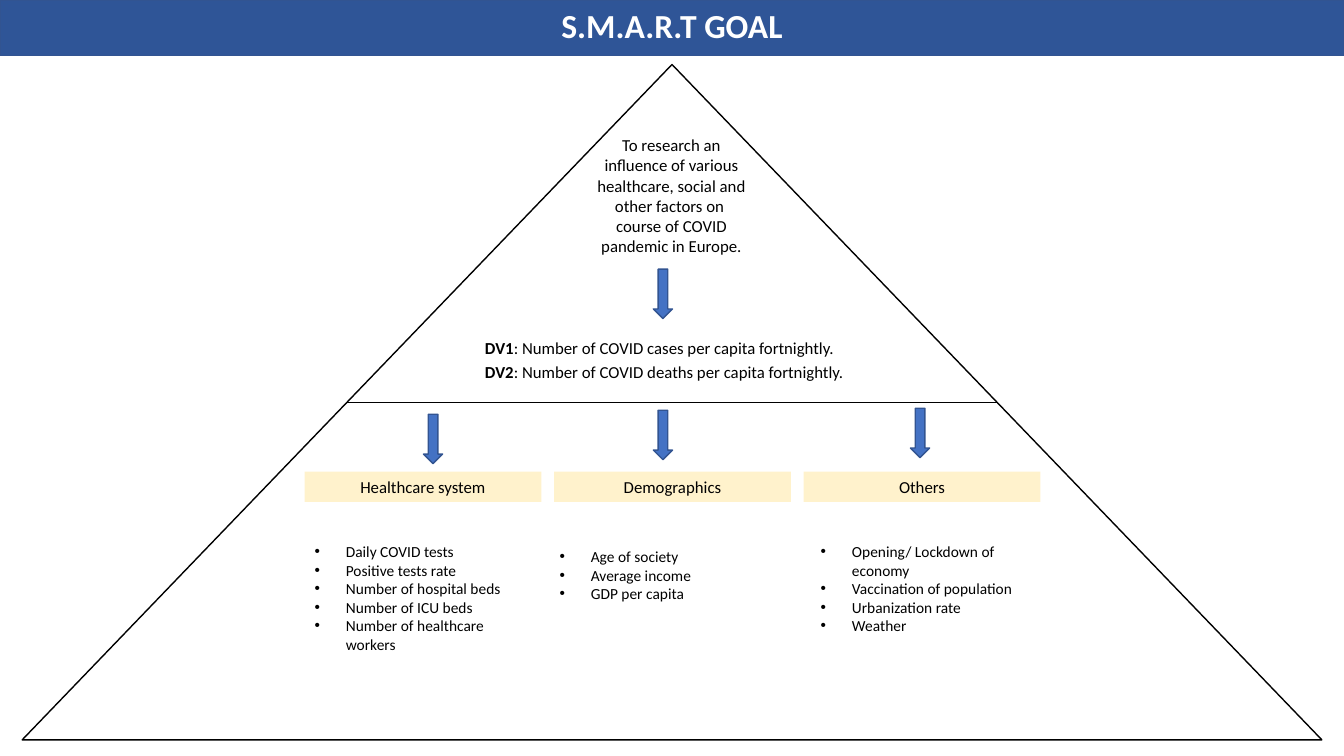
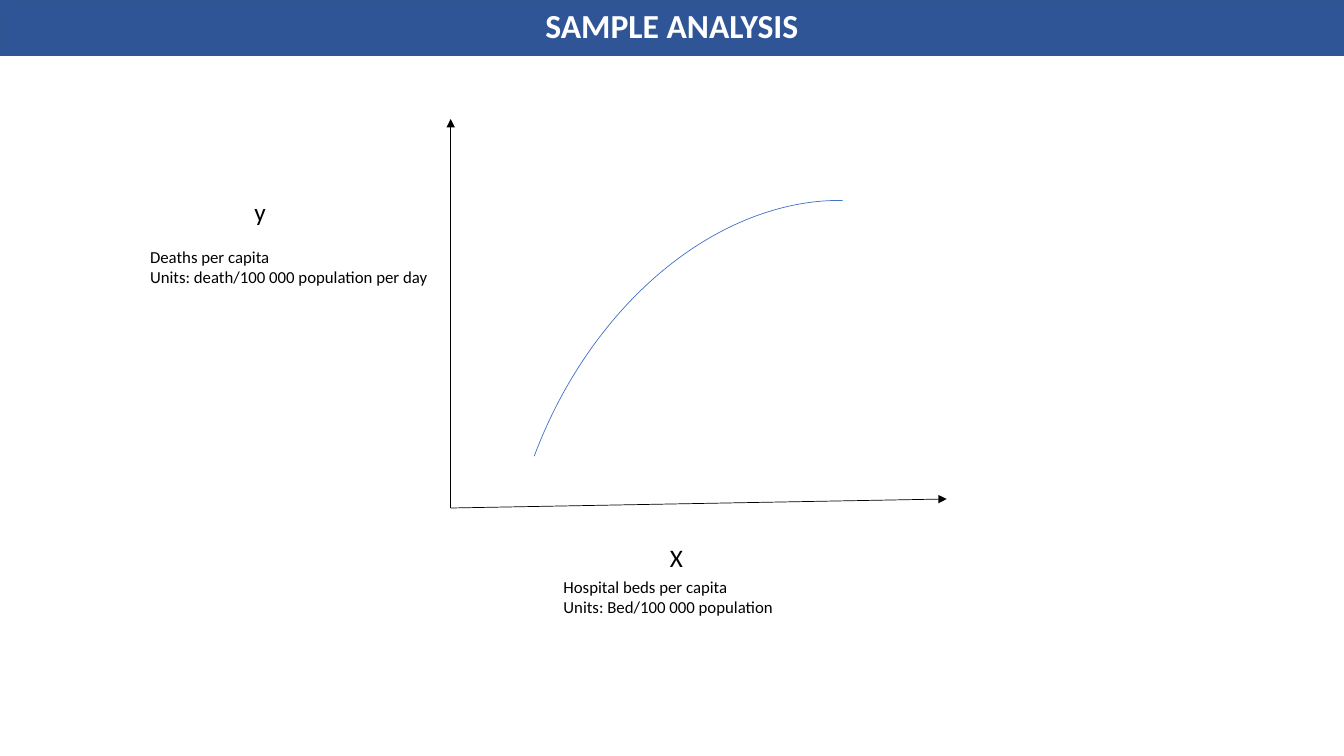
from lxml import etree
from pptx import Presentation
from pptx import util as u
from pptx.dml.color import RGBColor
from pptx.enum import shapes, text
from pptx.oxml.ns import qn

WIDTH, HEIGHT = 13.33, 7.5
FONT = "Calibri"
BAND, EDGE, ACCENT = "2F5597", "325491", "4472C4"
CREAM, BLACK, WHITE = "FFF2CC", "000000", "FFFFFF"
CENTER, LEFT = text.PP_ALIGN.CENTER, text.PP_ALIGN.LEFT
SHAPE = shapes.MSO_SHAPE

GOAL = ("To research an influence of various healthcare, social and "
        "other factors on  course of COVID pandemic in Europe.")
VARIABLES = [
    ("DV1", ": Number of COVID cases per capita fortnightly. "),
    ("DV2", ": Number of COVID deaths per capita fortnightly. "),
]
FACTORS = [
    ("Healthcare system", (3.02, 5.33, 2.28, 1.4), (4.2, 4.11),
     ["Daily COVID tests", "Positive tests rate", "Number of hospital beds",
      "Number of ICU beds", "Number of healthcare workers"]),
    ("Demographics", (5.45, 5.38, 2.28, 0.66), (6.48, 4.07),
     ["Age of society", "Average income", "GDP per capita"]),
    ("Others", (8.04, 5.33, 2.28, 1.21), (9.03, 4.05),
     ["Opening/ Lockdown of economy", "Vaccination of population",
      "Urbanization rate", "Weather"]),
]
GOAL_ARROW = (6.48, 2.67)
ARROW_SIZE = (0.19, 0.49)
HEADING_LEFT, HEADING_TOP, HEADING_PITCH = 3.02, 4.68, 2.475
HEADING_SIZE = (2.35, 0.3)

ORIGIN = (4.47, 5.04)
AXIS_ENDS = [(4.47, 1.18), (9.39, 4.95)]
AXIS_LABELS = [
    (["Deaths per capita", "Units: death/100 000 population per day"],
     (1.39, 2.4, 3.64, 0.5), 12, LEFT),
    (["X"], (5.59, 5.33, 2.24, 0.4), 18, CENTER),
    (["y"], (1.92, 1.9, 1.32, 0.4), 18, CENTER),
    (["Hospital beds per capita ", "Units: Bed/100 000 population"],
     (5.49, 5.67, 3.64, 0.5), 12, LEFT),
]


def rgb(value):
    return RGBColor.from_string(value)


def inches(values):
    return [u.Inches(value) for value in values]


def place(shape, box):
    shape.left, shape.top, shape.width, shape.height = inches(box)


def style(frame, size, color=BLACK, bold=False, align=LEFT,
          anchor=text.MSO_ANCHOR.TOP):
    frame.word_wrap = True
    frame.auto_size = text.MSO_AUTO_SIZE.NONE
    frame.vertical_anchor = anchor
    for paragraph in frame.paragraphs:
        paragraph.alignment = align
        paragraph.space_before = u.Pt(0)
        for run in paragraph.runs:
            run.font.name, run.font.size = FONT, u.Pt(size)
            run.font.bold = bold
            run.font.color.rgb = rgb(color)


def set_bullet(paragraph, character=None, indent=0):
    properties = paragraph._p.get_or_add_pPr()
    properties.set("marL", str(u.Inches(indent)))
    properties.set("indent", str(-u.Inches(indent)))
    if character:
        etree.SubElement(properties, qn("a:buFont"), typeface="Arial")
        etree.SubElement(properties, qn("a:buChar"), char=character)
    else:
        etree.SubElement(properties, qn("a:buNone"))


def add_shape(slide, kind, box, fill=None, line=None, weight=1):
    shape = slide.shapes.add_shape(kind, *inches(box))
    shape.shadow.inherit = False
    if fill:
        shape.fill.solid()
        shape.fill.fore_color.rgb = rgb(fill)
    else:
        shape.fill.background()
    if line:
        shape.line.color.rgb = rgb(line)
        shape.line.width = u.Pt(weight)
    else:
        shape.line.fill.background()
    return shape


def add_text(slide, lines, box, size, align):
    frame = slide.shapes.add_textbox(*inches(box)).text_frame
    frame.text = "\n".join(lines)
    style(frame, size, align=align)


def add_line(slide, start, end, arrow=False):
    line = slide.shapes.add_connector(
        shapes.MSO_CONNECTOR.STRAIGHT, *inches(start + end))
    line.line.color.rgb = rgb(BLACK)
    line.line.width = u.Pt(0.5)
    if arrow:
        etree.SubElement(line.line._get_or_add_ln(), qn("a:tailEnd"),
                         type="triangle")
    etree.SubElement(line._element.spPr, qn("a:effectLst"))


def add_arrow(slide, corner):
    add_shape(slide, SHAPE.DOWN_ARROW, corner + ARROW_SIZE, ACCENT, EDGE)


def add_slide(presentation, layout, title):
    slide = presentation.slides.add_slide(presentation.slide_layouts[layout])
    add_shape(slide, SHAPE.RECTANGLE, (0, 0, WIDTH, 0.55), BAND, EDGE)
    heading = slide.shapes.title
    slide.shapes._spTree.append(heading._element)
    place(heading, (0, 0, WIDTH, 0.5))
    heading.text_frame.text = title
    style(heading.text_frame, 24, WHITE, True, CENTER)
    return slide


def build_goal(presentation):
    slide = add_slide(presentation, 4, "S.M.A.R.T GOAL")
    variables, *lists = [holder for holder in slide.placeholders
                         if holder.placeholder_format.idx]
    add_text(slide, [GOAL], (5.76, 1.29, 1.8, 1.31), 12, CENTER)
    add_shape(slide, SHAPE.ISOSCELES_TRIANGLE, (0.22, 0.64, 12.89, 6.7),
              line=BLACK)
    add_line(slide, (3.44, 3.99), (9.89, 3.99))
    add_arrow(slide, GOAL_ARROW)

    place(variables, (4.71, 3.3, 4.18, 0.54))
    frame = variables.text_frame
    frame.text = "\n".join(name for name, meaning in VARIABLES)
    for paragraph, (name, meaning) in zip(frame.paragraphs, VARIABLES):
        paragraph.add_run().text = meaning
    style(frame, 12)
    for paragraph in frame.paragraphs:
        paragraph.runs[0].font.bold = True
        paragraph.space_after = u.Pt(2.6)
        set_bullet(paragraph)

    for column, (name, box, arrow, items) in enumerate(FACTORS):
        corner = (HEADING_LEFT + column * HEADING_PITCH, HEADING_TOP)
        heading = add_shape(slide, SHAPE.RECTANGLE, corner + HEADING_SIZE,
                            CREAM)
        heading.text_frame.text = name
        style(heading.text_frame, 12, align=CENTER,
              anchor=text.MSO_ANCHOR.MIDDLE)
        add_arrow(slide, arrow)
        place(lists[column], box)
        frame = lists[column].text_frame
        frame.text = "\n".join(items)
        style(frame, 11)
        for paragraph in frame.paragraphs:
            set_bullet(paragraph, "•", 0.31)


def build_analysis(presentation):
    slide = add_slide(presentation, 5, "SAMPLE ANALYSIS")
    for end in AXIS_ENDS:
        add_line(slide, ORIGIN, end, arrow=True)
    curve = add_shape(slide, SHAPE.ARC, (4.23, 2.79, 7.14, 5.34),
                      line=ACCENT, weight=0.5)
    curve.adjustments[0], curve.adjustments[1] = 162, 209.17
    curve.rotation = 290.5
    for label in AXIS_LABELS:
        add_text(slide, *label)


presentation = Presentation()
presentation.slide_width = u.Inches(WIDTH)
presentation.slide_height = u.Inches(HEIGHT)
build_goal(presentation)
build_analysis(presentation)
presentation.save("out.pptx")
